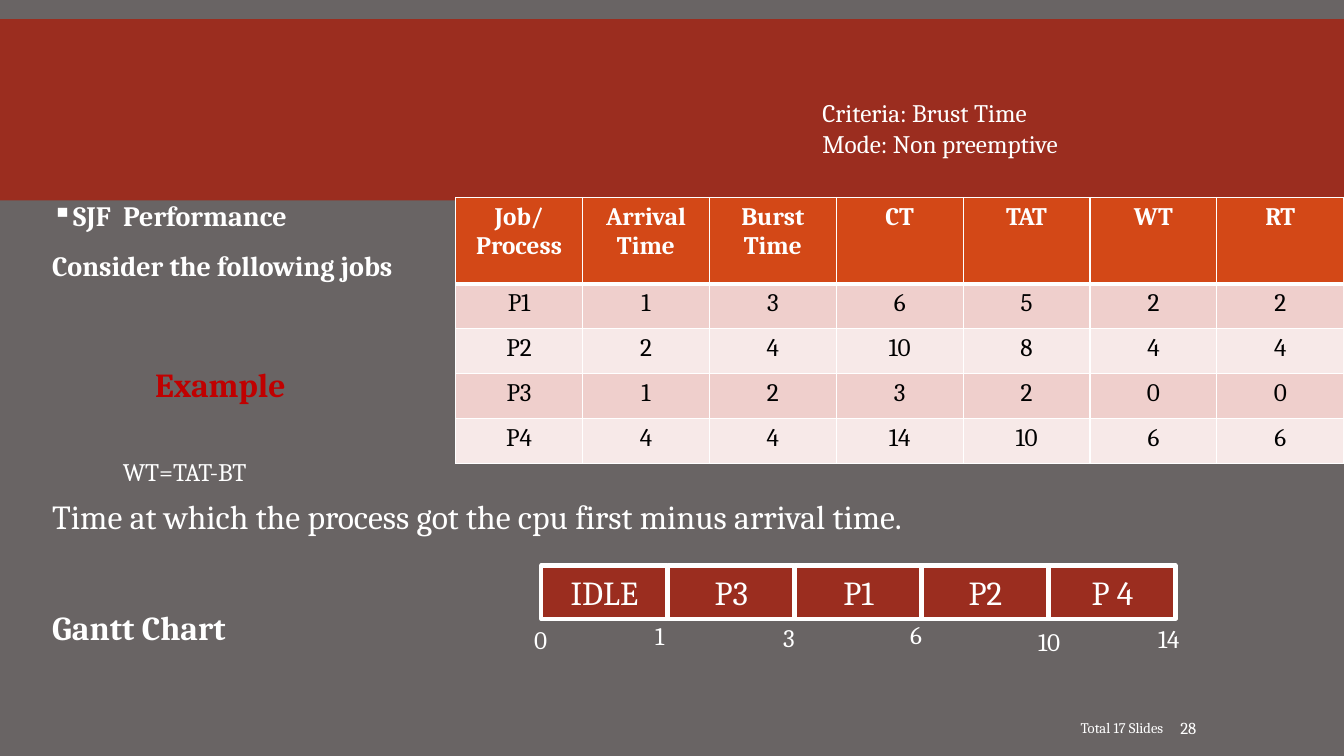
import pptx
import pptx.dml.color
import pptx.enum.shapes
import pptx.enum.text
import pptx.oxml
import pptx.oxml.ns
import pptx.util

RGB = pptx.dml.color.RGBColor
GREY = RGB(0x69, 0x64, 0x64)
BRICK = RGB(0x9B, 0x2D, 0x1F)
ORANGE = RGB(0xD3, 0x48, 0x17)
RED = RGB(0xC0, 0x00, 0x00)
PINK = RGB(0xEF, 0xCF, 0xCC)
PALE = RGB(0xF7, 0xE9, 0xE8)
WHITE = RGB(0xFF, 0xFF, 0xFF)
BLACK = RGB(0x00, 0x00, 0x00)

ALIGN = pptx.enum.text.PP_ALIGN
ANCHOR = pptx.enum.text.MSO_ANCHOR

JOBS = [
    ["Job/Process", "Arrival Time", "Burst Time", "CT", "TAT", "WT", "RT"],
    ["P1", "1", "3", "6", "5", "2", "2"],
    ["P2", "2", "4", "10", "8", "4", "4"],
    ["P3", "1", "2", "3", "2", "0", "0"],
    ["P4", "4", "4", "14", "10", "6", "6"],
]
BODY = [
    ("SJF  Performance", 20, True, 12),
    ("Consider the following jobs", 20, True, 12),
    ("Time at which the process got the cpu first minus arrival time.", 24, False, 153.6),
    ("Gantt Chart", 24, True, 51.7),
]
GANTT = ["IDLE", "P3", "P1", "P2", "P 4"]
TICKS = [
    ("0", 39, 81.87, 2.4),
    ("1", 48, 81.33, 3.68),
    ("3", 57.53, 81.6, 3.83),
    ("6", 66.98, 81.2, 4.65),
    ("10", 76.5, 82.13, 4.65),
    ("14", 85.43, 81.73, 4.65),
]


class Deck:
    font = "Cambria"

    def __init__(self):
        self.prs = pptx.Presentation()
        self.prs.slide_width = pptx.util.Inches(13.333)
        self.prs.slide_height = pptx.util.Inches(7.5)
        self.s = self.prs.slides.add_slide(self.prs.slide_layouts[6])
        fill = self.s.background.fill
        fill.solid()
        fill.fore_color.rgb = GREY

    def x(self, share):
        return int(self.prs.slide_width * share / 100)

    def y(self, share):
        return int(self.prs.slide_height * share / 100)

    def box(self, left, top, width, height):
        return self.x(left), self.y(top), self.x(width), self.y(height)

    def run(self, p, text, size=18, color=WHITE, bold=False, align=ALIGN.LEFT):
        p.alignment = align
        r = p.add_run()
        r.text = text
        r.font.name = self.font
        r.font.size = pptx.util.Pt(size)
        r.font.bold = bold
        r.font.color.rgb = color

    def text(self, area, lines, anchor=ANCHOR.TOP, **style):
        tf = self.s.shapes.add_textbox(*self.box(*area)).text_frame
        tf.word_wrap = True
        tf.vertical_anchor = anchor
        for i, line in enumerate(lines):
            p = tf.add_paragraph() if i else tf.paragraphs[0]
            self.run(p, line, **style)
        return tf

    def rect(self, area, label=None, outline=0):
        kind = pptx.enum.shapes.MSO_SHAPE.RECTANGLE
        sp = self.s.shapes.add_shape(kind, *self.box(*area))
        sp.shadow.inherit = False
        sp.fill.solid()
        sp.fill.fore_color.rgb = BRICK
        if outline:
            sp.line.color.rgb = WHITE
            sp.line.width = pptx.util.Pt(outline)
        else:
            sp.line.fill.background()
        if label:
            sp.text_frame.vertical_anchor = ANCHOR.MIDDLE
            self.run(sp.text_frame.paragraphs[0], label, 24, align=ALIGN.CENTER)

    def body(self, area, lines):
        tf = self.text(area, [])
        for i, (line, size, bold, before) in enumerate(lines):
            p = tf.add_paragraph() if i else tf.paragraphs[0]
            p.line_spacing = 0.9
            p.space_before = pptx.util.Pt(before)
            p.space_after = pptx.util.Pt(2)
            self.run(p, line, size, bold=bold)
        self.bullet(tf.paragraphs[0])

    def bullet(self, p):
        ns = pptx.oxml.ns.nsdecls("a")
        pPr = p._p.get_or_add_pPr()
        indent = pptx.util.Inches(0.2)
        pPr.set("marL", str(indent))
        pPr.set("indent", str(-indent))
        for xml in (
            f'<a:buClr {ns}><a:srgbClr val="{WHITE}"/></a:buClr>',
            f'<a:buChar {ns} char="▪"/>',
        ):
            pPr.append(pptx.oxml.parse_xml(xml))

    def borders(self, cell, top, bottom):
        ns = pptx.oxml.ns.nsdecls("a")
        tcPr = cell._tc.get_or_add_tcPr()
        for i, (side, width) in enumerate(zip("LRTB", (1, 1, top, bottom))):
            tcPr.insert(i, pptx.oxml.parse_xml(
                f'<a:ln{side} {ns} w="{pptx.util.Pt(width)}"><a:solidFill>'
                f'<a:srgbClr val="{WHITE}"/></a:solidFill></a:ln{side}>'))

    def table(self, area, rows, header_height, row_height):
        shape = self.s.shapes.add_table(len(rows), len(rows[0]), *self.box(*area))
        table = shape.table
        for column in table.columns:
            column.width = self.x(area[2] / len(rows[0]))
        for i, values in enumerate(rows):
            header = i == 0
            table.rows[i].height = self.y(header_height if header else row_height)
            for j, value in enumerate(values):
                cell = table.cell(i, j)
                cell.fill.solid()
                cell.fill.fore_color.rgb = ORANGE if header else (PALE, PINK)[i % 2]
                self.borders(cell, 3 if i == 1 else 1, 3 if header else 1)
                self.run(cell.text_frame.paragraphs[0], value,
                         color=WHITE if header else BLACK, bold=header, align=ALIGN.CENTER)


def main():
    deck = Deck()
    deck.rect((0, 2.53, 100, 24))
    deck.body((3.15, 26.13, 87.9, 73.8), BODY)
    deck.table((33.9, 26.13, 66.1, 35.2), JOBS, 11.4, 5.95)
    for i, job in enumerate(GANTT):
        deck.rect((40.28 + i * 9.45, 74.8, 9.38, 7.07), job, outline=3)
    for time, left, top, width in TICKS:
        deck.text((left, top, width, 5.33), [time])
    deck.text((10.8, 47.47, 22.35, 6.67), ["Example"], size=24, color=RED, bold=True)
    deck.text((60.45, 12.27, 20.7, 9.47), ["Criteria: Brust Time", "Mode: Non preemptive"])
    deck.text((8.4, 59.73, 12.38, 5.33), ["WT=TAT-BT"])
    deck.text((45.9, 93.6, 41.4, 5.33), ["Total 17 Slides"], ANCHOR.MIDDLE,
              size=10.5, align=ALIGN.RIGHT)
    number = deck.text((87.45, 93.6, 7.73, 5.33), ["28"], ANCHOR.MIDDLE, size=12)
    number.margin_left = pptx.util.Inches(0.05)
    deck.prs.save("out.pptx")


if __name__ == "__main__":
    main()
